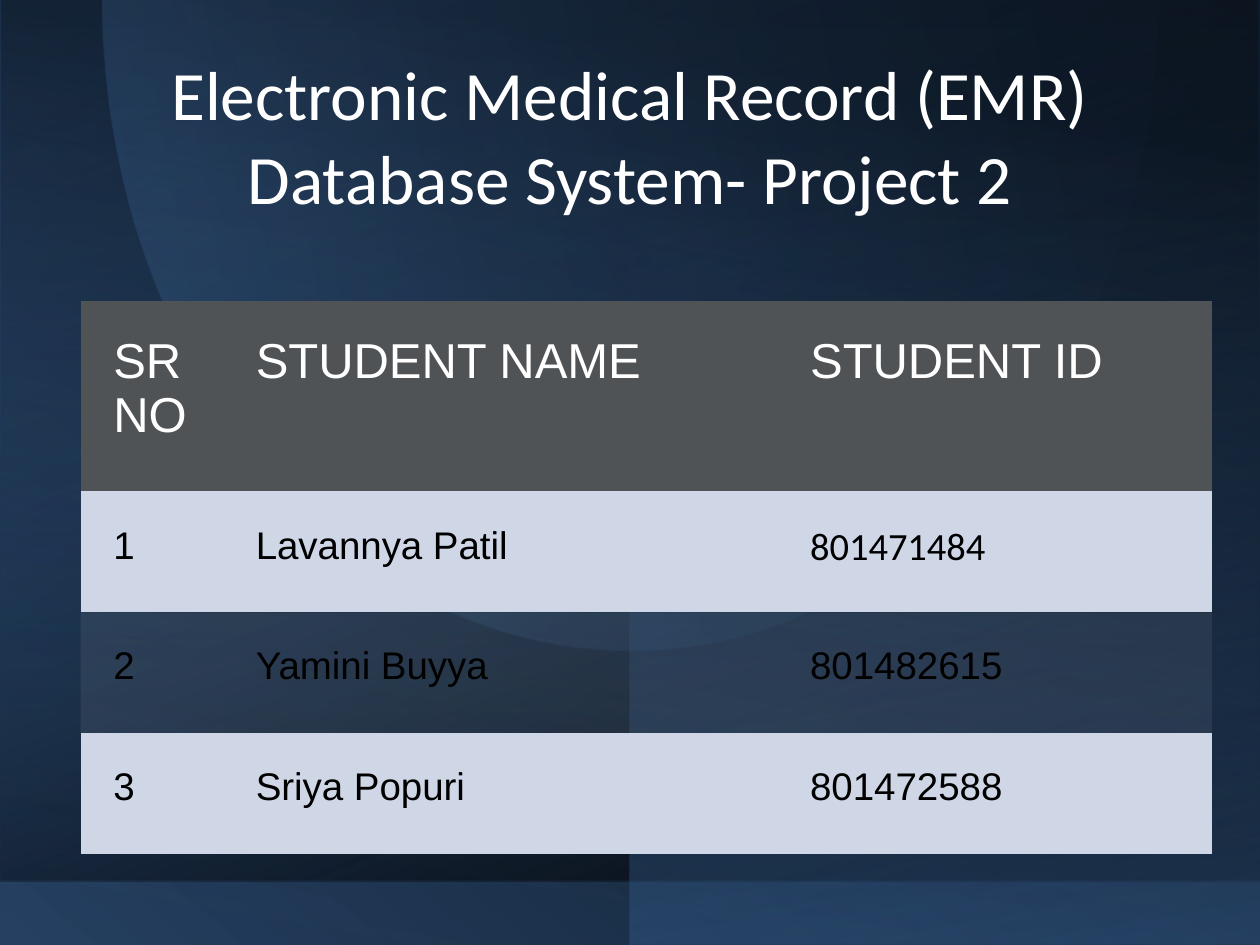
import math

from lxml import etree
from pptx import Presentation
from pptx.dml.color import RGBColor
from pptx.enum.shapes import MSO_SHAPE
from pptx.enum.text import MSO_ANCHOR, PP_ALIGN
from pptx.oxml.ns import qn
from pptx.util import Pt

RECTANGLE = MSO_SHAPE.RECTANGLE
MIDDLE = MSO_ANCHOR.MIDDLE
CENTER = PP_ALIGN.CENTER

NAVY = RGBColor(0x25, 0x40, 0x61)
BLUE = RGBColor(0x37, 0x60, 0x92)
SKY = RGBColor(0x4F, 0x81, 0xBD)
BLACK = RGBColor(0, 0, 0)
WHITE = RGBColor(255, 255, 255)
HEADER_GREY = RGBColor(0x50, 0x53, 0x56)
PALE_BLUE = RGBColor(0xCF, 0xD7, 0xE7)

PX = 9144  # EMU per px, 100 px to the inch
WIDTH, HEIGHT = 1000, 750
NO_STYLE_NO_GRID = "{2D5ABB26-0587-4C30-8999-92F81FD0307C}"


def px(*lengths):
    return [length * PX for length in lengths]


def set_alpha(color_element, percent):
    etree.SubElement(color_element, qn("a:alpha"), val=str(percent * 1000))


class SlideBuilder:
    heading_font = "Calibri"
    body_font = "Arial"
    cell_margin = 26

    def __init__(self, slide):
        self.slide = slide

    def style(self, paragraph, size, color, font):
        paragraph.font.size = Pt(size)
        paragraph.font.color.rgb = color
        paragraph.font.name = font

    def gradient(self, shape, stops, angle):
        """Fill with (position, colour, opacity) stops, angle clockwise."""
        shape.shadow.inherit = False
        shape.line.fill.background()
        shape.fill.gradient()
        grad = shape._element.spPr.find(qn("a:gradFill"))
        for child in list(grad):
            grad.remove(child)
        grad.set("rotWithShape", "1")
        stop_list = etree.SubElement(grad, qn("a:gsLst"))
        for position, color, opacity in stops:
            stop = etree.SubElement(stop_list, qn("a:gs"), pos=str(position * 1000))
            set_alpha(etree.SubElement(stop, qn("a:srgbClr"), val=str(color)), opacity)
        etree.SubElement(grad, qn("a:lin"), ang=str(angle * 60000), scaled="0")

    def gradient_panel(self, box, stops, angle, rotation=0, flipped=True):
        panel = self.slide.shapes.add_shape(RECTANGLE, *px(*box))
        panel.rotation = rotation
        if flipped:
            panel._element.spPr.find(qn("a:xfrm")).set("flipH", "1")
        self.gradient(panel, stops, angle)

    def half_ellipse(self, center_x, radius_x, radius_y, stops, angle, steps=90):
        arc = [
            (center_x + radius_x * math.cos(math.pi * i / steps),
             radius_y * math.sin(math.pi * i / steps))
            for i in range(steps + 1)
        ]
        outline = self.slide.shapes.build_freeform(*px(*arc[0]), scale=1.0)
        outline.add_line_segments([px(*point) for point in arc[1:]], close=True)
        self.gradient(outline.convert_to_shape(), stops, angle)

    def title(self, box, text, size):
        frame = self.slide.shapes.add_textbox(*px(*box)).text_frame
        frame.word_wrap = True
        frame.vertical_anchor = MIDDLE
        heading = frame.paragraphs[0]
        heading.text = text
        heading.alignment = CENTER
        self.style(heading, size, WHITE, self.heading_font)

    def cell(self, cell, text, size, color, fill, opacity=100, font=None):
        cell.text = text
        cell.margin_left = cell.margin_right = self.cell_margin * PX
        cell.margin_top = cell.margin_bottom = self.cell_margin * PX
        self.style(cell.text_frame.paragraphs[0], size, color, font or self.body_font)
        cell.fill.solid()
        cell.fill.fore_color.rgb = fill
        if opacity < 100:
            set_alpha(cell._tc.tcPr.find(".//" + qn("a:srgbClr")), opacity)

    def student_table(self, left, top, column_widths, header_height, row_height, header, students):
        heights = [header_height] + [row_height] * len(students)
        box = px(left, top, sum(column_widths), sum(heights))
        frame = self.slide.shapes.add_table(len(heights), len(header), *box)
        table = frame.table
        table.first_row = table.horz_banding = False
        frame._element.find(".//" + qn("a:tableStyleId")).text = NO_STYLE_NO_GRID
        for column, width in zip(table.columns, column_widths):
            column.width = width * PX
        for row, height in zip(table.rows, heights):
            row.height = height * PX

        for c, label in enumerate(header):
            self.cell(table.cell(0, c), label, 28, WHITE, HEADER_GREY)
        for r, student in enumerate(students, start=1):
            fill, opacity = (PALE_BLUE, 100) if r % 2 else (WHITE, 7)
            for c, value in enumerate(student):
                # The first student's ID is in the heading font
                font = self.heading_font if (r, c) == (1, 2) else None
                self.cell(table.cell(r, c), value, 22, BLACK, fill, opacity, font)


def main():
    deck = Presentation()
    deck.slide_width, deck.slide_height = px(WIDTH, HEIGHT)
    page = SlideBuilder(deck.slides.add_slide(deck.slide_layouts[6]))

    # Layered gradient background
    full = (0, 0, WIDTH, HEIGHT)
    page.gradient_panel(full, [(0, NAVY, 100), (100, BLACK, 100)], 230)
    page.gradient_panel((0, 0, WIDTH, 700), [(1, BLUE, 59), (100, BLACK, 100)], 250,
                        rotation=180, flipped=False)
    page.gradient_panel((125, -124, HEIGHT, 998), [(13, NAVY, 0), (99, BLACK, 28)], 0,
                        rotation=90)
    page.gradient_panel((500, 0, 500, HEIGHT), [(13, NAVY, 0), (99, BLUE, 50)], 100)
    page.gradient_panel(full, [(13, BLACK, 35), (99, BLUE, 0)], 80)
    page.half_ellipse(500, 419, 517, [(7, NAVY, 4), (99, SKY, 24)], 170)

    # Title
    page.title((120, 17, 760, 180),
               "Electronic Medical Record (EMR) Database System- Project 2", 39.6)

    # Students
    page.student_table(
        64, 239, [113, 440, 345], 151, 96,
        ["SR NO", "STUDENT NAME", "STUDENT ID"],
        [
            ["1", "Lavannya Patil", "801471484"],
            ["2", "Yamini Buyya", "801482615"],
            ["3", "Sriya Popuri", "801472588"],
        ],
    )

    deck.save("out.pptx")


if __name__ == "__main__":
    main()
